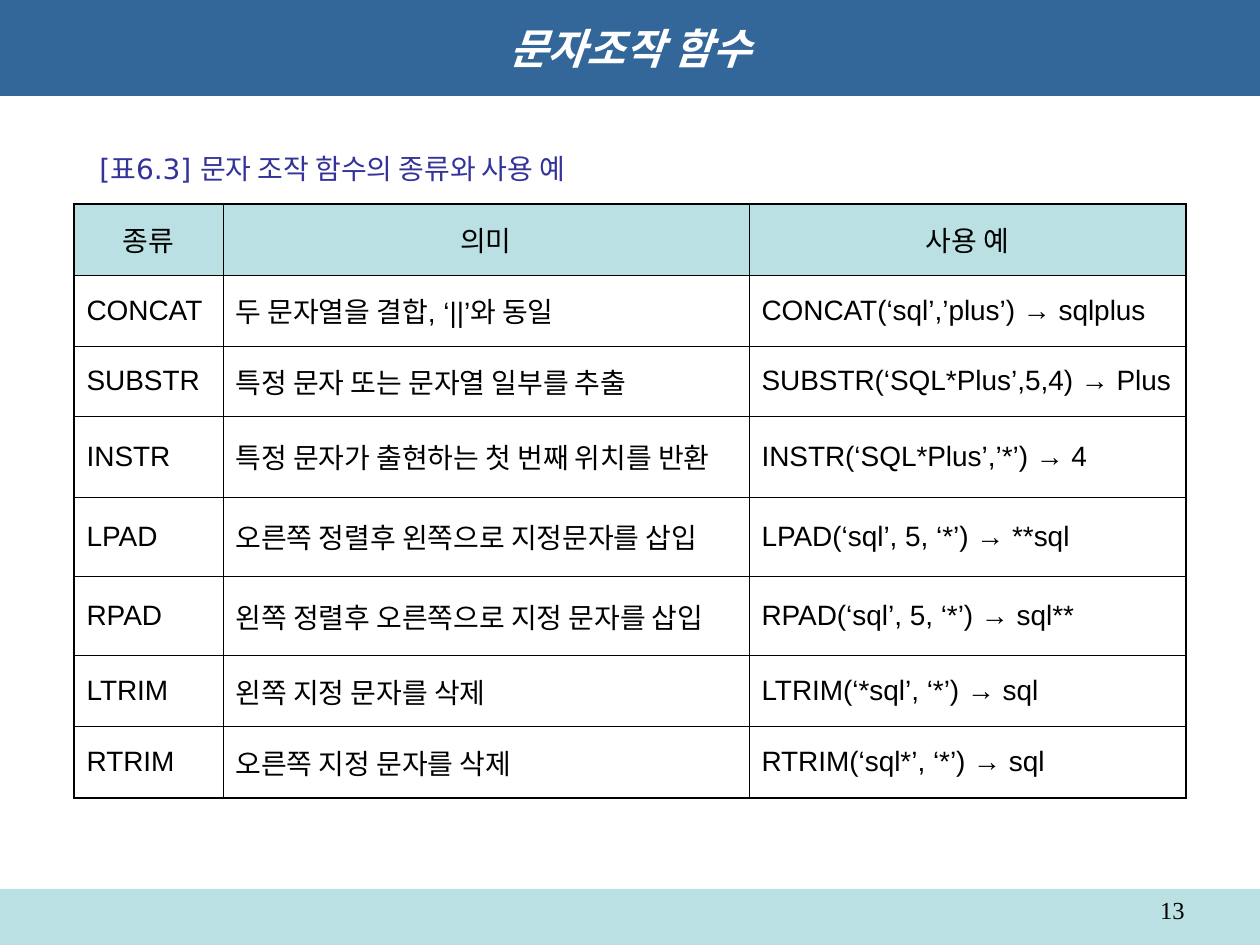
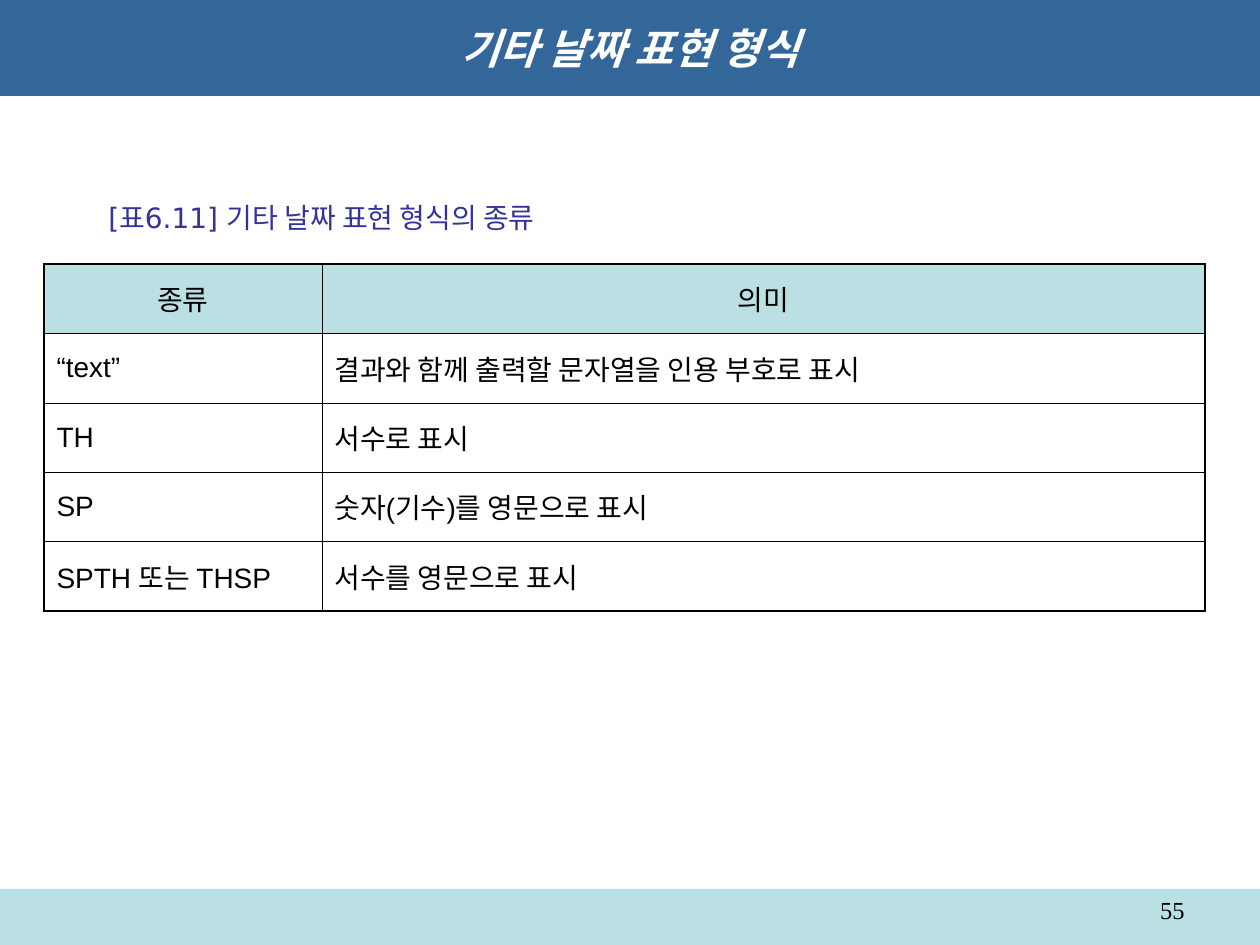
from lxml import etree
from pptx import Presentation
from pptx.dml.color import RGBColor
from pptx.enum.shapes import MSO_SHAPE
from pptx.enum.text import MSO_ANCHOR, PP_ALIGN
from pptx.oxml.ns import qn
from pptx.util import Emu, Pt

RECT = MSO_SHAPE.RECTANGLE
MIDDLE, TOP = MSO_ANCHOR.MIDDLE, MSO_ANCHOR.TOP
LEFT, CENTER, RIGHT = PP_ALIGN.LEFT, PP_ALIGN.CENTER, PP_ALIGN.RIGHT
WIDE, HIGH, DPI = 1260, 945, 126
BLUE, AQUA, NAVY = "336699", "BBE0E3", "333399"
BLACK, WHITE = "000000", "FFFFFF"
SANS, BODY, SERIF = "DejaVu Sans", "Arial", "Times New Roman"
THICK, THIN = 1.08, 0.45

TEXT_ROWS = [
    ("종류", "의미", "사용 예"),
    ("CONCAT", "두 문자열을 결합, ‘||’와 동일", "CONCAT(‘sql’,’plus’) → sqlplus"),
    ("SUBSTR", "특정 문자 또는 문자열 일부를 추출", "SUBSTR(‘SQL*Plus’,5,4) → Plus"),
    ("INSTR", "특정 문자가 출현하는 첫 번째 위치를 반환", "INSTR(‘SQL*Plus’,’*’) → 4"),
    ("LPAD", "오른쪽 정렬후 왼쪽으로 지정문자를 삽입", "LPAD(‘sql’, 5, ‘*’) → **sql"),
    ("RPAD", "왼쪽 정렬후 오른쪽으로 지정 문자를 삽입", "RPAD(‘sql’, 5, ‘*’) → sql**"),
    ("LTRIM", "왼쪽 지정 문자를 삭제", "LTRIM(‘*sql’, ‘*’) → sql"),
    ("RTRIM", "오른쪽 지정 문자를 삭제", "RTRIM(‘sql*’, ‘*’) → sql"),
]
DATE_ROWS = [
    ("종류", "의미"),
    ("“text”", "결과와 함께 출력할 문자열을 인용 부호로 표시"),
    ("TH", "서수로 표시"),
    ("SP", "숫자(기수)를 영문으로 표시"),
    ("SPTH 또는 THSP", "서수를 영문으로 표시"),
]


def px(n):
    return Emu(round(n * 914400 / DPI))


def color(code):
    return RGBColor.from_string(code)


def write(frame, text, size, face, ink, align=LEFT, bold=False, slant=False):
    frame.text = text
    para = frame.paragraphs[0]
    para.alignment = align
    for run in para.runs:
        font = run.font
        font.size, font.name = Pt(size), face
        font.bold, font.italic = bold, slant
        font.color.rgb = color(ink)


def band(slide, box, fill):
    shape = slide.shapes.add_shape(RECT, *map(px, box))
    shape.shadow.inherit = False
    shape.fill.solid()
    shape.fill.fore_color.rgb = color(fill)
    shape.line.fill.background()
    return shape


def label(slide, box, anchor, wrap, text, *style):
    frame = slide.shapes.add_textbox(*map(px, box)).text_frame
    frame.word_wrap = wrap
    frame.vertical_anchor = anchor
    write(frame, text, *style)


def header(slide, box, text):
    frame = band(slide, box, BLUE).text_frame
    frame.word_wrap = True
    frame.vertical_anchor = MIDDLE
    write(frame, text, 24, SANS, WHITE, CENTER, True, True)


def footer(slide, box, page):
    left, top, width, height = box
    band(slide, box, AQUA)
    label(slide, (left + width - 357, top, 294, 36), TOP, True,
          page, 14, SERIF, BLACK, RIGHT)


def border(cell, side, width):
    props = cell._tc.get_or_add_tcPr()
    line = etree.SubElement(props, qn("a:ln" + side), w=str(Pt(width)))
    fill = etree.SubElement(line, qn("a:solidFill"))
    etree.SubElement(fill, qn("a:srgbClr"), val=BLACK)


def grid(slide, left, top, cols, highs, rows):
    box = (left, top, sum(cols), sum(highs))
    table = slide.shapes.add_table(len(rows), len(cols), *map(px, box)).table
    for col, width in zip(table.columns, cols):
        col.width = px(width)
    for row, high in zip(table.rows, highs):
        row.height = px(high)
    for r, row in enumerate(rows):
        for c, text in enumerate(row):
            cell = table.cell(r, c)
            edges = {"L": c == 0, "R": c == len(cols) - 1,
                     "T": r == 0, "B": r == len(rows) - 1}
            for side, outer in edges.items():
                border(cell, side, THICK if outer else THIN)
            if r == 0:
                cell.fill.solid()
                cell.fill.fore_color.rgb = color(AQUA)
            else:
                cell.fill.background()
            cell.vertical_anchor = MIDDLE
            write(cell.text_frame, text, 16, BODY, BLACK, LEFT if r else CENTER)


def page(deck, title, num, note, box, *table):
    slide = deck.slides.add_slide(deck.slide_layouts[6])
    footer(slide, (0, 889, WIDE, HIGH - 889), num)
    header(slide, (0, 0, WIDE, 96), title)
    grid(slide, *table)
    label(slide, box, MIDDLE, False, note, 16, SANS, NAVY)


def main():
    deck = Presentation()
    deck.slide_width, deck.slide_height = px(WIDE), px(HIGH)
    page(deck, "문자조작 함수", "13",
         "[표6.3] 문자 조작 함수의 종류와 사용 예", (87, 145, 524, 46),
         74, 204, (149, 526, 437), (71, 71, 70, 81, 79, 80, 71, 71), TEXT_ROWS)
    page(deck, "기타 날짜 표현 형식", "55",
         "[표6.11] 기타 날짜 표현 형식의 종류", (96, 194, 485, 46),
         44, 264, (278, 883), (69, 70, 69, 69, 70), DATE_ROWS)
    deck.save("out.pptx")


if __name__ == "__main__":
    main()
